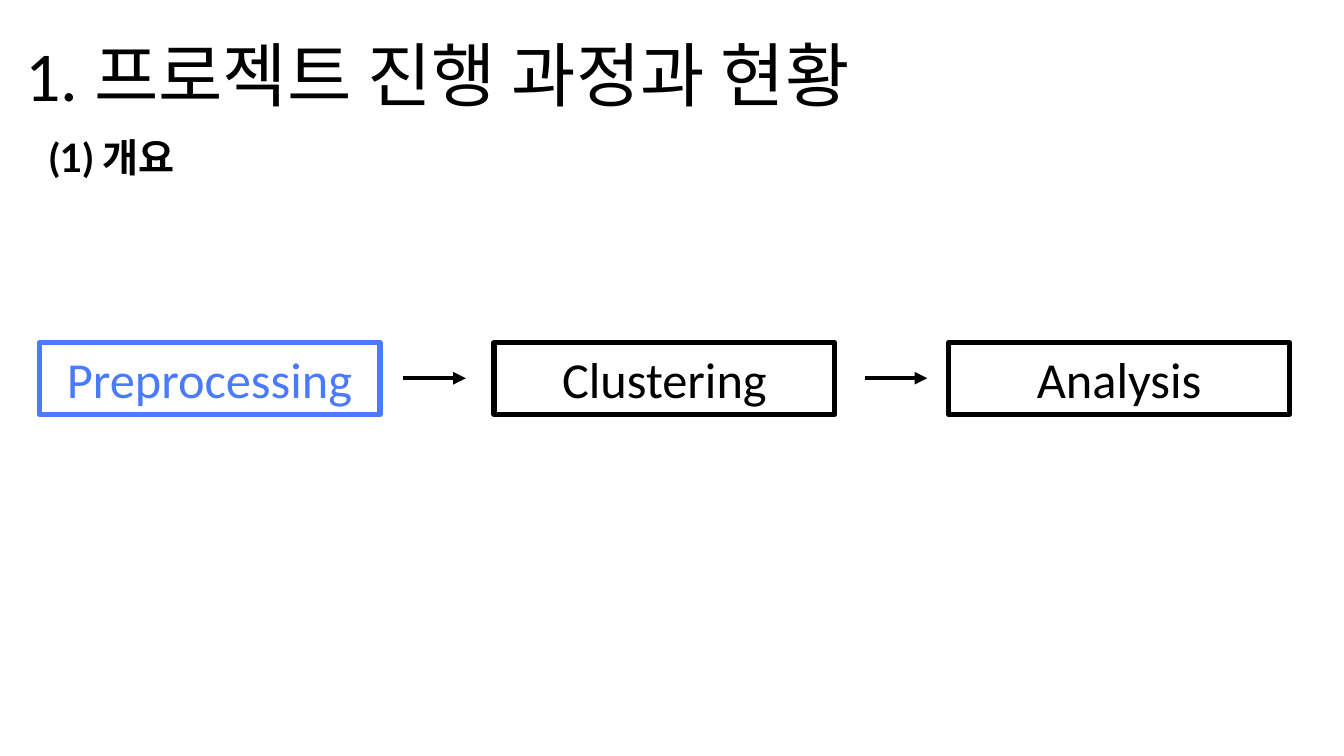
from pptx import Presentation
from pptx import util as u
from pptx.dml.color import RGBColor
from pptx.enum import shapes, text
from pptx.oxml.ns import qn
from lxml import etree

BLACK, BLUE = "000000", "4A7BFF"


def color(value):
    return RGBColor.from_string(value)


def write(shape, wording, align, anchor, **font):
    frame = shape.text_frame
    frame.word_wrap = True
    frame.auto_size = text.MSO_AUTO_SIZE.SHAPE_TO_FIT_TEXT
    frame.vertical_anchor = anchor
    frame.text = wording
    paragraph = frame.paragraphs[0]
    paragraph.alignment = align
    paragraph.font.color.rgb = color(font.pop("ink"))
    for name, value in font.items():
        setattr(paragraph.font, name, value)


prs = Presentation()
prs.slide_width, prs.slide_height = u.Cm(33.87), u.Cm(19.05)
slide = prs.slides.add_slide(prs.slide_layouts[5])
left, center = text.PP_ALIGN.LEFT, text.PP_ALIGN.CENTER
top, middle = text.MSO_ANCHOR.TOP, text.MSO_ANCHOR.MIDDLE

heading = slide.shapes.title
heading.left, heading.top = u.Cm(0.38), u.Cm(0.66)
heading.width, heading.height = u.Cm(24.13), u.Cm(2.39)
write(heading, "1. 프로젝트 진행 과정과 현황", left, top,
      size=u.Pt(50), name="Calibri", ink=BLACK)

overview = slide.shapes.add_textbox(u.Cm(0.99), u.Cm(3.23), u.Cm(31.88), u.Cm(1.45))
write(overview, "(1) 개요", left, top,
      size=u.Pt(28), name="Lato", bold=True, ink=BLACK)

stages = [("Preprocessing", BLUE), ("Clustering", BLACK), ("Analysis", BLACK)]
for i, (stage, ink) in enumerate(stages):
    box = slide.shapes.add_shape(shapes.MSO_SHAPE.RECTANGLE,
                                 u.Cm(0.99 + 11.46 * i), u.Cm(8.64), u.Cm(8.59), u.Cm(1.8))
    box.shadow.inherit = False
    box.fill.background()
    box.line.color.rgb = color(ink)
    box.line.width = u.Pt(3.75)
    write(box, stage, center, middle, size=u.Pt(36), name="Calibri", ink=ink)

for i in range(len(stages) - 1):
    start = 10.16 + 11.63 * i
    arrow = slide.shapes.add_connector(shapes.MSO_CONNECTOR.STRAIGHT,
                                       u.Cm(start), u.Cm(9.53), u.Cm(start + 1.58), u.Cm(9.53))
    arrow.line.color.rgb = color(BLACK)
    arrow.line.width = u.Pt(3)
    etree.SubElement(arrow.line._get_or_add_ln(), qn("a:tailEnd"), type="triangle")
    etree.SubElement(arrow._element.spPr, qn("a:effectLst"))

prs.save("out.pptx")
